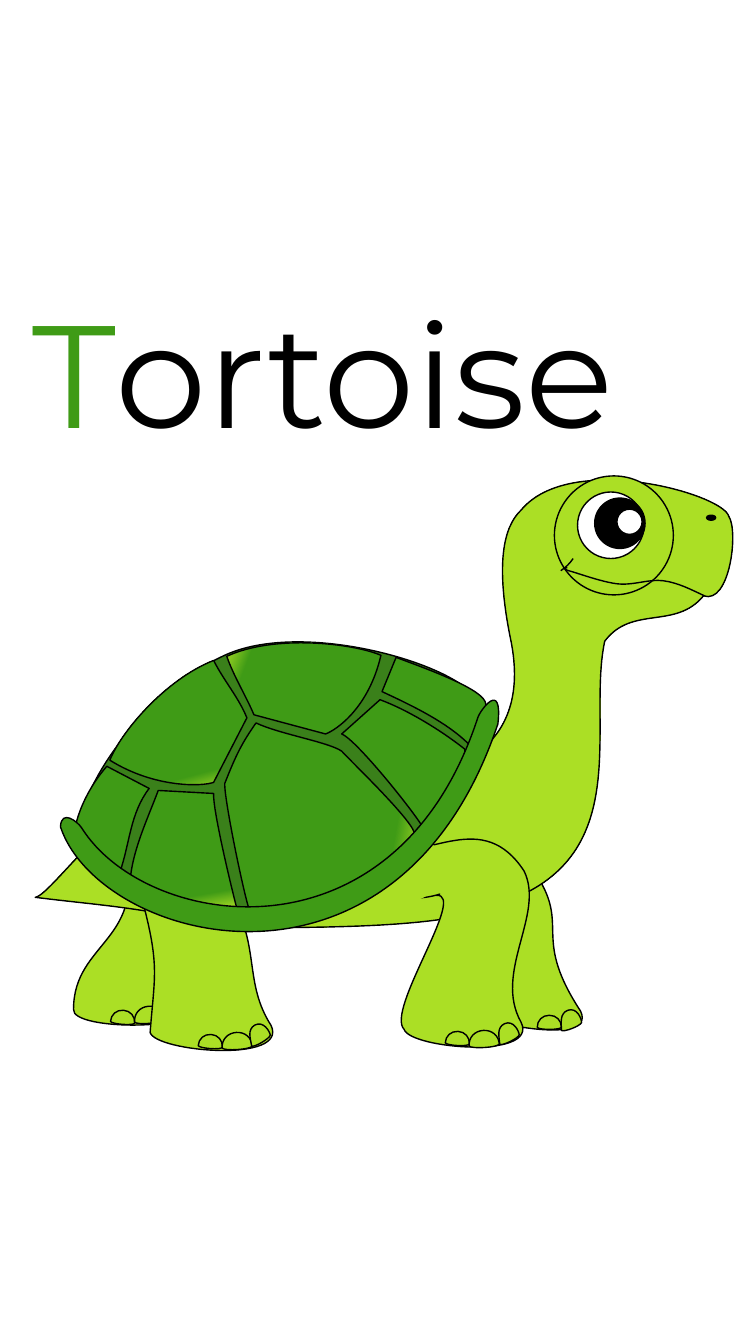
from lxml import etree
from pptx import Presentation
from pptx.dml.color import RGBColor
from pptx.enum.shapes import MSO_SHAPE
from pptx.oxml.ns import qn
from pptx.util import Inches, Pt

ARC, OVAL = MSO_SHAPE.ARC, MSO_SHAPE.OVAL


class Theme:
    font = "Montserrat"
    title_size = Pt(104)
    line_width = Pt(1)
    skin = RGBColor.from_string("ABDF25")
    plate = RGBColor.from_string("3F9B16")
    seam = RGBColor.from_string("3A801A")
    black = RGBColor.from_string("000000")
    white = RGBColor.from_string("FFFFFF")


# An outline is a start point, then (x, y) for a line
# or (x1, y1, x2, y2, x, y) for a curve.
FAR_FRONT_LEG = [(5.36, 8.74), (4.95, 8.11, 4.78, 8.4, 4.34, 8.28), (4.34, 8.47),
                 (4.61, 9.4, 4.55, 9.28, 4.5, 9.93), (4.55, 10.12, 5.94, 10.41, 5.76, 10.03),
                 (5.29, 9.31, 5.63, 9.21, 5.36, 8.74)]
FAR_BACK_LEG = [(1.55, 8.68), (1.14, 8.05, 1.78, 8.33, 1.35, 8.21), (1.22, 8.39),
                (1.49, 9.33, 0.73, 9.33, 0.73, 10.01), (0.7, 10.23, 2.11, 10.23, 1.93, 9.94),
                (1.67, 9.52, 1.82, 9.15, 1.55, 8.68)]
BODY = [(7.23, 5.12), (7.17, 4.9, 5.66, 4.47, 5.17, 5.06), (4.99, 5.23, 4.92, 5.6, 5.06, 6.31),
        (5.53, 8.45, 2.11, 7.63, 2.21, 7.63), (1.34, 7.6, 0.53, 8.88, 0.35, 8.9),
        (0.98, 8.98, 1.47, 9, 2.21, 9.2), (3.95, 9.21, 4.69, 9.15, 5.17, 8.88),
        (6.27, 8.37, 5.83, 7.15, 6, 6.36), (6.27, 6, 6.7, 6.25, 6.98, 5.91),
        (7.24, 6, 7.33, 5.27, 7.23, 5.12)]
NEAR_BACK_LEG = [(2.3, 8.91), (1.9, 8.28, 1.77, 8.57, 1.33, 8.45), (1.33, 8.63),
                 (1.6, 9.57, 1.54, 9.59, 1.49, 10.24), (1.54, 10.43, 2.87, 10.55, 2.69, 10.17),
                 (2.42, 9.75, 2.58, 9.39, 2.3, 8.91)]
NEAR_FRONT_LEG = [(5.2, 8.64), (4.79, 8.01, 4.25, 8.53, 3.81, 8.42), (3.93, 8.68),
                  (3.89, 9.08, 4.51, 8.81, 4.33, 8.88), (4.64, 8.86, 3.82, 10.02, 4.01, 10.21),
                  (4.07, 10.4, 5.35, 10.51, 5.17, 10.14), (4.89, 9.64, 5.41, 9.07, 5.2, 8.64)]
MOUTH = [(6.99, 5.91), (6.86, 5.85, 6.73, 5.78, 6.58, 5.76), (6.44, 5.74, 6.28, 5.81, 6.12, 5.79),
         (5.96, 5.77, 5.72, 5.68, 5.64, 5.66), (5.56, 5.63, 5.63, 5.63, 5.63, 5.63)]
SHELL = [(4.72, 6.94), (4.58, 6.61, 3.05, 6.14, 2.25, 6.49), (1.44, 6.85, 0.83, 7.75, 0.8, 8.17),
         (0.97, 8.82, 2.02, 9.38, 3.22, 8.91), (4.42, 8.43, 4.86, 7.28, 4.72, 6.94)]
SHELL_RIM = [(4.94, 7.18), (4.99, 6.73, 4.76, 7.05, 4.74, 7.12), (3.92, 9.62, 1.44, 9.22, 0.81, 8.21),
             (0.77, 8.15, 0.61, 8.02, 0.6, 8.2), (0.98, 9.35, 3.94, 10.16, 4.94, 7.18)]

# Each plate with the clockwise direction of its light corner, if it has one.
PLATES = [
    ([(3.78, 6.5), (3.5, 6.38, 2.72, 6.29, 2.25, 6.51), (2.32, 6.71, 2.44, 6.9, 2.52, 7.09),
      (3.23, 7.28), (3.34, 7.24, 3.66, 7.02, 3.78, 6.5)], 201),
    ([(1.09, 7.54), (1.2, 7.26, 1.64, 6.74, 2.12, 6.55), (2.22, 6.75, 2.37, 6.92, 2.45, 7.12),
      (2.12, 7.76), (2.01, 7.8, 1.54, 7.82, 1.09, 7.54)], 75),
    ([(4.82, 6.99), (4.83, 6.84, 4.19, 6.62, 3.93, 6.52), (3.79, 6.86),
      (4.07, 6.99, 4.43, 7.16, 4.65, 7.38), (4.68, 7.33, 4.85, 7.22, 4.82, 6.99)], None),
    ([(4.61, 7.43), (4.37, 7.24, 4.04, 7.04, 3.77, 6.94), (3.39, 7.28),
      (3.52, 7.33, 4.02, 7.94, 4.18, 8.18), (4.24, 8.15, 4.64, 7.67, 4.61, 7.43)], None),
    ([(2.23, 7.77), (2.34, 7.49, 2.4, 7.37, 2.54, 7.17), (2.77, 7.28, 3.26, 7.36, 3.39, 7.45),
      (3.49, 7.56, 4.15, 8.19, 4.11, 8.28), (3.74, 8.68, 3.19, 9.04, 2.49, 9.06),
      (2.46, 9.07, 2.22, 7.93, 2.23, 7.77)], 10),
    ([(1.29, 8.75), (1.31, 8.44, 1.47, 8.11, 1.57, 7.84), (2.12, 7.87),
      (2.11, 8.02, 2.28, 8.74, 2.35, 9.01), (2.29, 9.04, 1.45, 8.92, 1.29, 8.75)], 80),
    ([(0.75, 8.19), (0.78, 8.05, 0.87, 7.82, 1.06, 7.6), (1.48, 7.82),
      (1.29, 8.07, 1.29, 8.36, 1.19, 8.65), (1.14, 8.62, 0.84, 8.4, 0.75, 8.19)], None),
]

# Toe outlines in units of the toe's own width and height.
ROUND_TOE = [(1, 0.86), (1, 0.36, 0.79, 0, 0.5, 0), (0.21, 0, 0, 0.36, 0, 0.86),
             (0.08, 1.05, 0.92, 1.05, 1, 0.86)]
OUTER_TOE = [(1, 0.63), (1, 0.47, 0.79, -0.1, 0.32, 0.05), (-0.1, 0.21, 0, 0.63, 0, 1),
             (0.1, 1.1, 0.95, 0.79, 1, 0.63)]
SMALL, WIDE, OUTER = (ROUND_TOE, 0.24, 0.14), (ROUND_TOE, 0.3, 0.17), (OUTER_TOE, 0.2, 0.21)

# Each leg with its toes: kind, left, top, tilt.
FAR_LEGS = [(FAR_FRONT_LEG, [(SMALL, 5.33, 10.07, 0), (OUTER, 5.57, 10.01, 0)]),
            (FAR_BACK_LEG, [(SMALL, 1.1, 10.02, 4.3), (WIDE, 1.33, 9.98, -4.7)])]
NEAR_LEGS = [(NEAR_BACK_LEG, [(SMALL, 1.97, 10.26, 4.2), (WIDE, 2.2, 10.24, -3.7),
                              (OUTER, 2.48, 10.15, -9.1)]),
             (NEAR_FRONT_LEG, [(SMALL, 4.42, 10.23, 3.1), (WIDE, 4.65, 10.22, -3.5),
                               (OUTER, 4.95, 10.14, -4.7)])]


def pairs(segment):
    return list(zip(segment[::2], segment[1::2]))


def trace(outline):
    """Sample an outline, to find how far its curves reach."""
    points = [outline[0]]
    for segment in outline[1:]:
        corners = [points[-1]] + pairs(segment)
        for t in (0.2, 0.4, 0.6, 0.8) if len(corners) == 4 else ():
            weights = ((1 - t) ** 3, 3 * t * (1 - t) ** 2, 3 * t * t * (1 - t), t ** 3)
            points.append(tuple(sum(w * v for w, v in zip(weights, axis)) for axis in zip(*corners)))
        points.append(corners[-1])
    return points


class Artist:
    def __init__(self, page, theme):
        self.page, self.theme = page, theme

    def finish(self, shape, fill, lined=True):
        shape.shadow.inherit = False
        if fill:
            shape.fill.solid()
            shape.fill.fore_color.rgb = fill
        else:
            shape.fill.background()
        if lined:
            shape.line.color.rgb = self.theme.black
            shape.line.width = self.theme.line_width
        else:
            shape.line.fill.background()
        return shape

    def outline(self, outline, fill, closed=True):
        """Draw a freeform, then put true curves in place of its sampled points."""
        points = [(Inches(x), Inches(y)) for x, y in trace(outline)]
        builder = self.page.shapes.build_freeform(*points[0])
        builder.add_line_segments(points[1:], close=closed)
        shape = builder.convert_to_shape()
        track = shape._element.find(".//" + qn("a:path"))
        for step in track.findall(qn("a:lnTo")):
            track.remove(step)
        for index, segment in enumerate(outline[1:], 1):
            step = etree.Element(qn("a:lnTo" if len(segment) == 2 else "a:cubicBezTo"))
            track.insert(index, step)
            for x, y in pairs(segment):
                etree.SubElement(step, qn("a:pt"), x=str(Inches(x) - shape.left),
                                 y=str(Inches(y) - shape.top))
        return self.finish(shape, fill)

    def shade(self, shape, start, end, reach, direction):
        """Fade from start, on the side at the clockwise direction, to end."""
        shape.fill.gradient()
        shape.fill.gradient_angle = (180 - direction) % 360
        for stop, color, position in zip(shape.fill.gradient_stops, (start, end), (0, reach)):
            stop.color.rgb, stop.position = color, position

    def leg(self, outline, toes):
        self.outline(outline, self.theme.skin)
        for (toe, width, height), left, top, tilt in toes:
            placed = [sum(((left + x * width, top + y * height) for x, y in pairs(segment)), ())
                      for segment in toe]
            self.outline(placed, self.theme.skin).rotation = tilt

    def preset(self, kind, left, top, width, height, fill, lined=True):
        place = [Inches(length) for length in (left, top, width, height)]
        return self.finish(self.page.shapes.add_shape(kind, *place), fill, lined)

    def arc(self, left, top, size, start, end, fill=None):
        """Draw an arc clockwise between two angles in degrees."""
        shape = self.preset(ARC, left, top, size, size, fill)
        for index, angle in enumerate((start, end)):
            shape.adjustments[index] = (angle - 360 if angle > 180 else angle) * 0.6

    def title(self, text, left, top, width, height):
        box = self.page.shapes.add_textbox(Inches(left), Inches(top), Inches(width), Inches(height))
        box.text_frame.word_wrap = True
        for part, color in ((text[0], self.theme.plate), (text[1:], self.theme.black)):
            span = box.text_frame.paragraphs[0].add_run()
            span.text = part
            span.font.name, span.font.size = self.theme.font, self.theme.title_size
            span.font.color.rgb = color


deck = Presentation()
deck.slide_width, deck.slide_height = Inches(7.5), Inches(13.33)
artist = Artist(deck.slides.add_slide(deck.slide_layouts[6]), Theme)
artist.title("Tortoise", 0.22, 2.76, 6.92, 1.85)
for leg, toes in FAR_LEGS:
    artist.leg(leg, toes)
artist.shade(artist.outline(BODY, Theme.skin), Theme.plate, Theme.skin, 0.19, 220)
artist.arc(5.5, 4.72, 1.18, 224, 320, Theme.skin)
for leg, toes in NEAR_LEGS:
    artist.leg(leg, toes)
artist.preset(OVAL, 5.73, 4.88, 0.66, 0.66, Theme.white)
artist.preset(OVAL, 7.01, 5.11, 0.09, 0.05, Theme.black)
artist.outline(MOUTH, None, closed=False)
artist.arc(4.9, 4.87, 0.86, 34, 57)
artist.preset(OVAL, 5.9, 4.94, 0.5, 0.5, Theme.black)
artist.preset(OVAL, 6.12, 5.05, 0.25, 0.25, Theme.white)
artist.preset(OVAL, 3.81, 8.27, 0.56, 0.66, Theme.skin, lined=False)
artist.outline(SHELL, Theme.seam)
for plate, light in PLATES:
    shape = artist.outline(plate, Theme.plate)
    if light is not None:
        artist.shade(shape, Theme.skin, Theme.plate, 0.15, light)
artist.outline(SHELL_RIM, Theme.plate)
deck.save("out.pptx")
